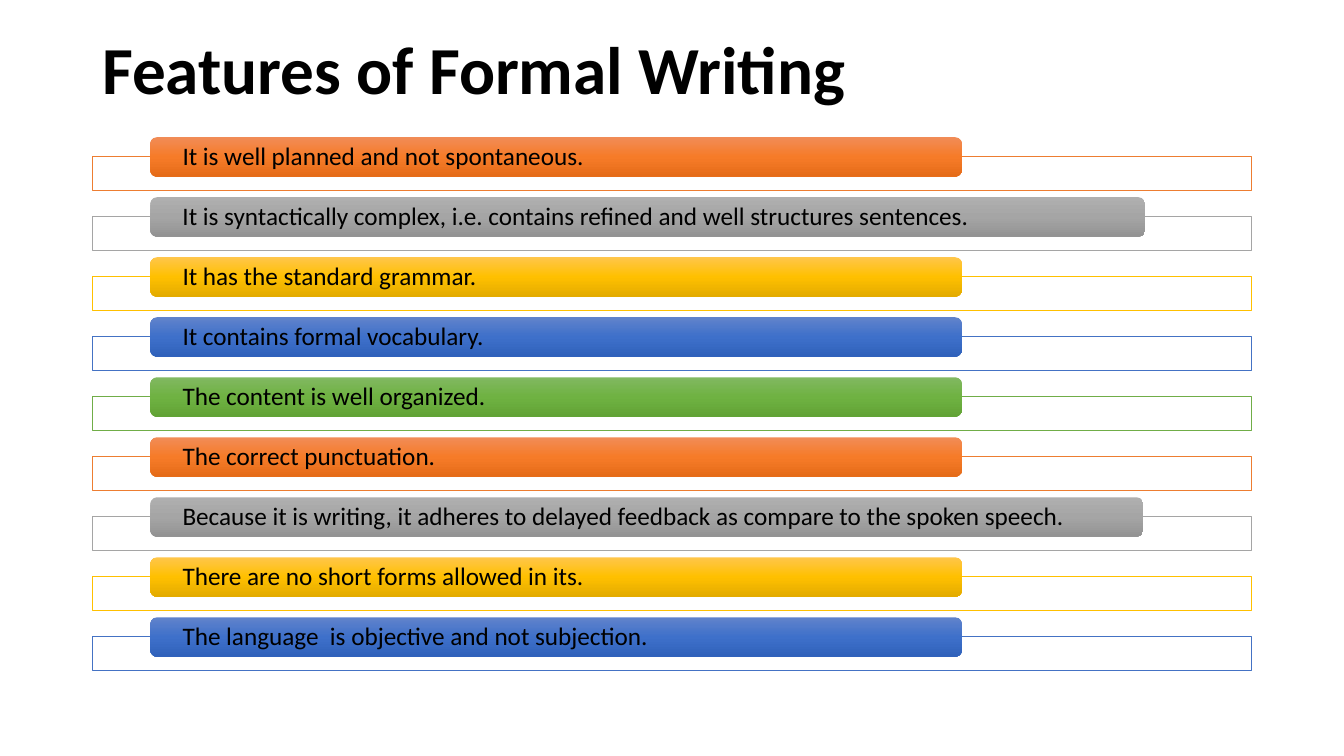
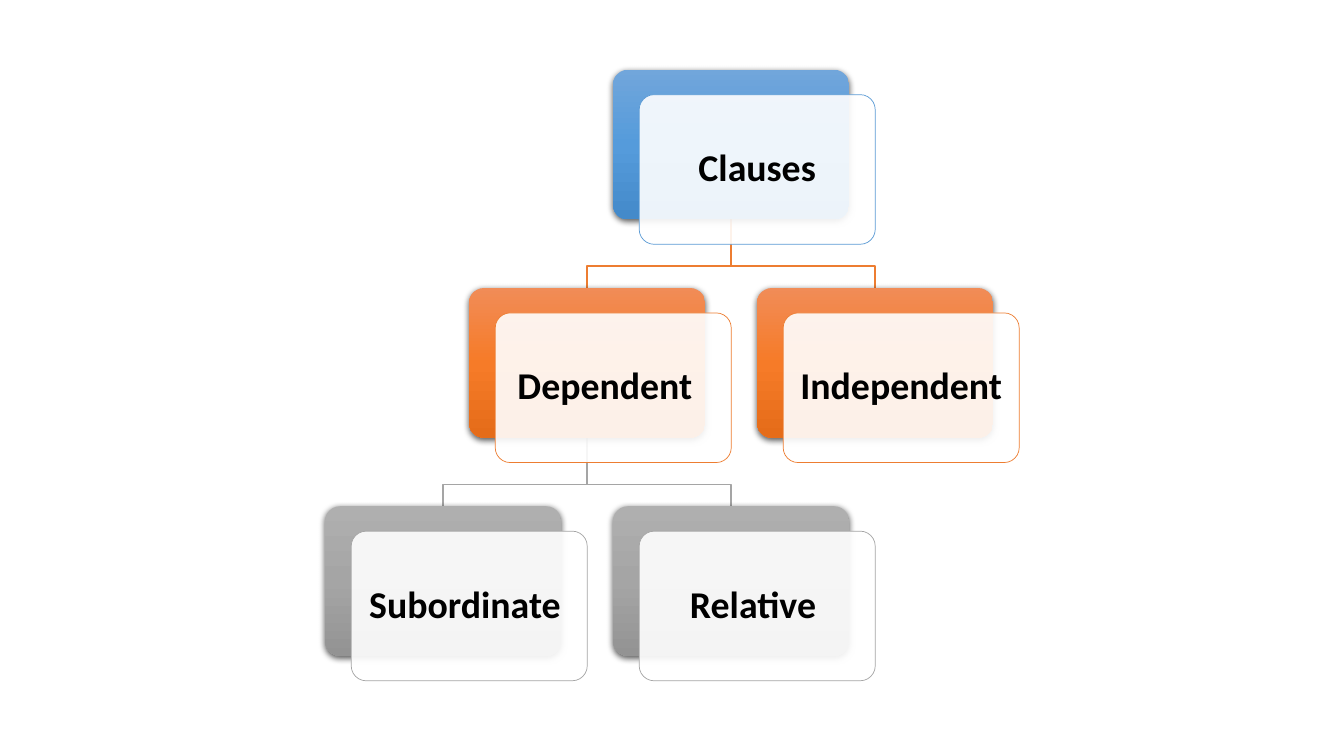
from collections import namedtuple
from copy import deepcopy
from dataclasses import dataclass
from itertools import cycle

from lxml.etree import SubElement
from pptx import Presentation
from pptx.dml.color import RGBColor
from pptx.enum.shapes import MSO_SHAPE
from pptx.enum.text import MSO_ANCHOR, PP_ALIGN
from pptx.oxml.ns import qn
from pptx.util import Pt

Tone = namedtuple("Tone", "outline top middle bottom")
Node = namedtuple("Node", "text column row tone parent shift", defaults=(None, 0))


@dataclass(frozen=True)
class Theme:
    """Colours and type shared by the slides."""

    font: str = "Calibri"
    title_size: float = 48
    bar_size: float = 18
    card_size: float = 27
    line_spacing: float = 0.9
    ink: str = "000000"
    paper: str = "FFFFFF"
    paper_opacity: int = 90
    thin: float = 0.5
    sky: Tone = Tone("5B9BD5", "71A6DB", "559BDB", "448ACA")
    orange: Tone = Tone("ED7D31", "F18C57", "F67B28", "E56C19")
    grey: Tone = Tone("A5A5A5", "AFAFAF", "A5A5A5", "939393")
    gold: Tone = Tone("FFC000", "FFC64B", "FFC000", "E3AB00")
    blue: Tone = Tone("4472C4", "6183CB", "3E70CA", "3062BB")
    green: Tone = Tone("70AD47", "81B861", "6FB242", "62A336")


THEME = Theme()

BAR_WIDTH = 579.6
FEATURES = [
    ("It is well planned and not spontaneous.", BAR_WIDTH),
    ("It is syntactically complex, i.e. contains refined and well structures sentences.", 710.6),
    ("It has the standard grammar.", BAR_WIDTH),
    ("It contains formal vocabulary.", BAR_WIDTH),
    ("The content is well organized.", BAR_WIDTH),
    ("The correct punctuation.", BAR_WIDTH),
    ("Because it is writing, it adheres to delayed feedback as compare to the spoken speech.", 709.2),
    ("There are no short forms allowed in its.", BAR_WIDTH),
    ("The language  is objective and not subjection.", BAR_WIDTH),
]
FEATURE_TOP, FEATURE_PITCH = 98, 42.87

CLAUSES = Node("Clauses", 2, 0, THEME.sky)
DEPENDENT = Node("Dependent", 1, 1, THEME.orange, CLAUSES, 12)
NODES = [
    CLAUSES,
    DEPENDENT,
    Node("Independent", 3, 1, THEME.orange, CLAUSES),
    Node("Subordinate", 0, 2, THEME.grey, DEPENDENT, 6),
    Node("Relative", 2, 2, THEME.grey, DEPENDENT, 6),
]
CARD_WIDTH, CARD_HEIGHT = 168.6, 106.9
TREE_LEFT, TREE_TOP = 232.2, 49.8
COLUMN_PITCH, ROW_PITCH = 102.85, 155.9
VEIL_RIGHT, VEIL_DOWN = 18.7, 17.8


def write_text(box, text, *, size, bold=False, align=PP_ALIGN.LEFT, left=7.2, right=7.2, vertical=0):
    """Put one middle-anchored paragraph in a box."""
    frame = box.text_frame
    frame.word_wrap = True
    frame.vertical_anchor = MSO_ANCHOR.MIDDLE
    frame.margin_left, frame.margin_right = Pt(left), Pt(right)
    frame.margin_top = frame.margin_bottom = Pt(vertical)
    para = frame.paragraphs[0]
    para.alignment = align
    para.line_spacing = THEME.line_spacing
    span = para.add_run()
    span.text = text
    span.font.name = THEME.font
    span.font.size = Pt(size)
    span.font.bold = bold
    span.font.color.rgb = RGBColor.from_string(THEME.ink)


def add_box(page, kind, left, top, width, height, corner=None):
    """Add a preset shape without shadow."""
    box = page.shapes.add_shape(kind, Pt(left), Pt(top), Pt(width), Pt(height))
    box.shadow.inherit = False
    if corner is not None:
        box.adjustments[0] = corner
    return box


def set_line(shape, colour, width):
    """Give a shape a solid outline."""
    shape.line.color.rgb = RGBColor.from_string(colour)
    shape.line.width = Pt(width)


def fill_gradient(box, tone):
    """Fill a box downwards with the three shades of a tone, without outline."""
    box.line.fill.background()
    box.fill.gradient()
    box.fill.gradient_angle = 270
    stop_list = box.element.spPr.find(".//" + qn("a:gsLst"))
    stop_list.insert(1, deepcopy(stop_list[0]))
    shades = (tone.top, tone.middle, tone.bottom)
    for stop, position, shade in zip(box.fill.gradient_stops, (0, 0.5, 1), shades):
        stop.position = position
        stop.color.rgb = RGBColor.from_string(shade)


def fill_veil(box, tone):
    """Fill a box with translucent paper and outline it in a tone."""
    box.fill.solid()
    box.fill.fore_color.rgb = RGBColor.from_string(THEME.paper)
    colour = box.element.spPr.find(qn("a:solidFill")).find(qn("a:srgbClr"))
    SubElement(colour, qn("a:alpha"), val=str(THEME.paper_opacity * 1000))
    set_line(box, tone.outline, THEME.thin)


def cast_shadow(box):
    """Add a soft shadow straight below a box."""
    effects = box.element.spPr.find(qn("a:effectLst"))
    shadow = SubElement(effects, qn("a:outerShdw"), blurRad=str(Pt(4.5)),
                        dist=str(Pt(1.5)), dir="5400000", algn="ctr", rotWithShape="0")
    colour = SubElement(shadow, qn("a:srgbClr"), val=THEME.ink)
    SubElement(colour, qn("a:alpha"), val="63000")


def add_title(page, text):
    """Add the slide title."""
    box = page.shapes.add_textbox(Pt(66), Pt(28.8), Pt(828), Pt(46))
    write_text(box, text, size=THEME.title_size, bold=True, vertical=3.6)


def add_feature(page, text, top, width, tone):
    """Add a coloured bar over its outlined frame."""
    fill_veil(add_box(page, MSO_SHAPE.RECTANGLE, 66, top + 13.9, 828, 24), tone)
    bar = add_box(page, MSO_SHAPE.ROUNDED_RECTANGLE, 107.4, top, width, 28.1)
    fill_gradient(bar, tone)
    write_text(bar, text, size=THEME.bar_size, left=21.6, right=21.6)


def card_corner(node):
    """Return the left and top of a node's card."""
    return TREE_LEFT + node.column * COLUMN_PITCH, TREE_TOP + node.row * ROW_PITCH


def add_branch(page, node):
    """Draw the stepped line from a parent card to a node."""
    parent_left, parent_top = card_corner(node.parent)
    child_left, child_top = card_corner(node)
    start, end = parent_left + CARD_WIDTH / 2, child_left + CARD_WIDTH / 2
    bend = child_top - 15.7
    builder = page.shapes.build_freeform(Pt(start), Pt(parent_top + CARD_HEIGHT))
    corners = [(start, bend), (end, bend), (end, child_top)]
    builder.add_line_segments([(Pt(x), Pt(y)) for x, y in corners], close=False)
    branch = builder.convert_to_shape()
    branch.shadow.inherit = False
    branch.fill.background()
    set_line(branch, node.tone.outline, 1)


def add_card(page, node):
    """Draw a node as a coloured card under a labelled veil."""
    left, top = card_corner(node)
    size = (CARD_WIDTH, CARD_HEIGHT, 0.1)
    card = add_box(page, MSO_SHAPE.ROUNDED_RECTANGLE, left, top, *size)
    fill_gradient(card, node.tone)
    cast_shadow(card)
    veil = add_box(page, MSO_SHAPE.ROUNDED_RECTANGLE, left + VEIL_RIGHT, top + VEIL_DOWN, *size)
    fill_veil(veil, node.tone)
    write_text(veil, node.text, size=THEME.card_size, bold=True, align=PP_ALIGN.CENTER,
               left=7, right=7 + node.shift)


def build_features(page):
    """Build the list of features."""
    add_title(page, "Features of Formal Writing")
    tones = cycle([THEME.orange, THEME.grey, THEME.gold, THEME.blue, THEME.green])
    for index, ((text, width), tone) in enumerate(zip(FEATURES, tones)):
        add_feature(page, text, FEATURE_TOP + index * FEATURE_PITCH, width, tone)


def build_clauses(page):
    """Build the tree of clauses, branches behind cards."""
    for node in NODES:
        if node.parent:
            add_branch(page, node)
    for node in NODES:
        add_card(page, node)


def main():
    """Build and save the deck."""
    deck = Presentation()
    deck.slide_width, deck.slide_height = Pt(960), Pt(540)
    for build in (build_features, build_clauses):
        build(deck.slides.add_slide(deck.slide_layouts[6]))
    deck.save("out.pptx")


if __name__ == "__main__":
    main()
